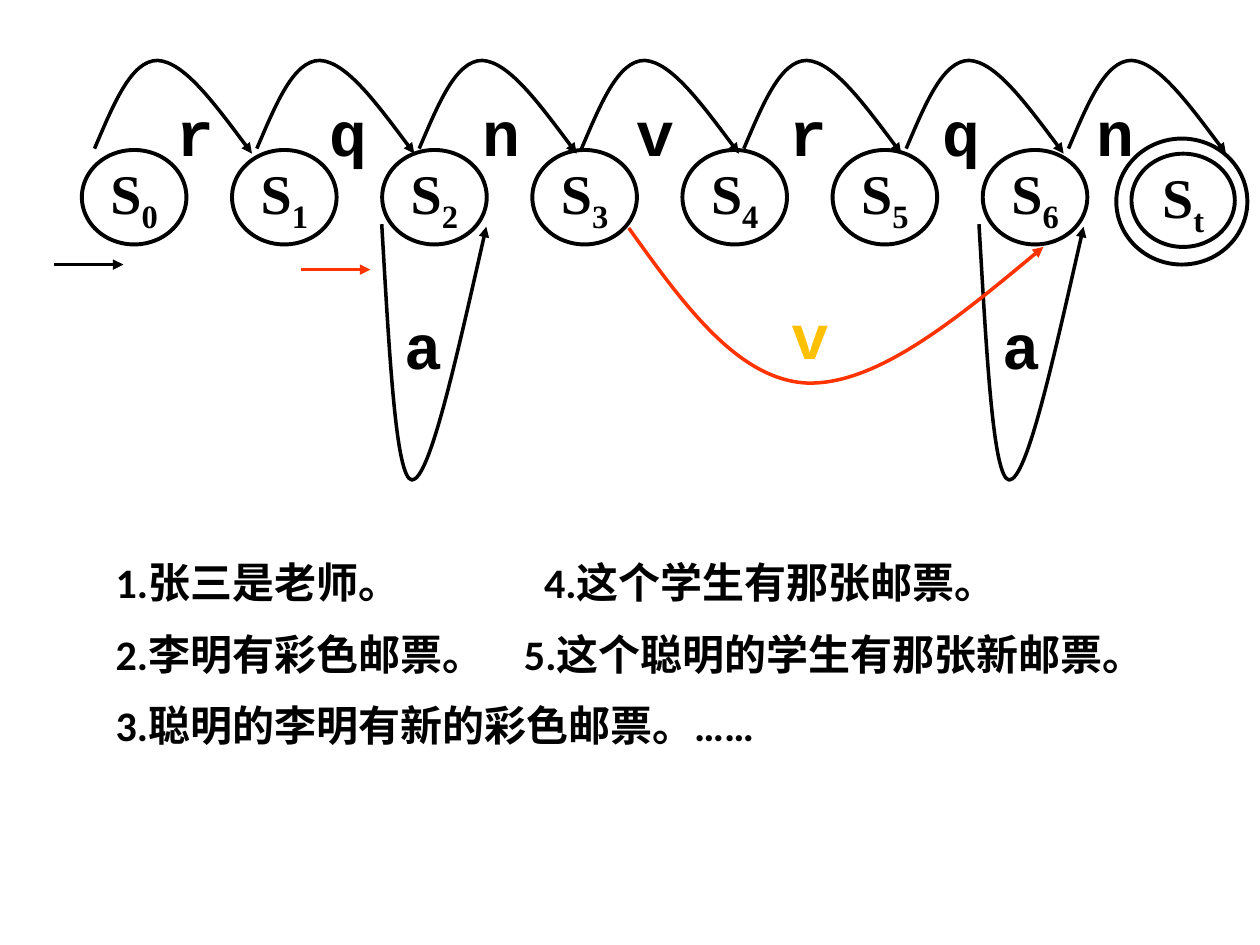
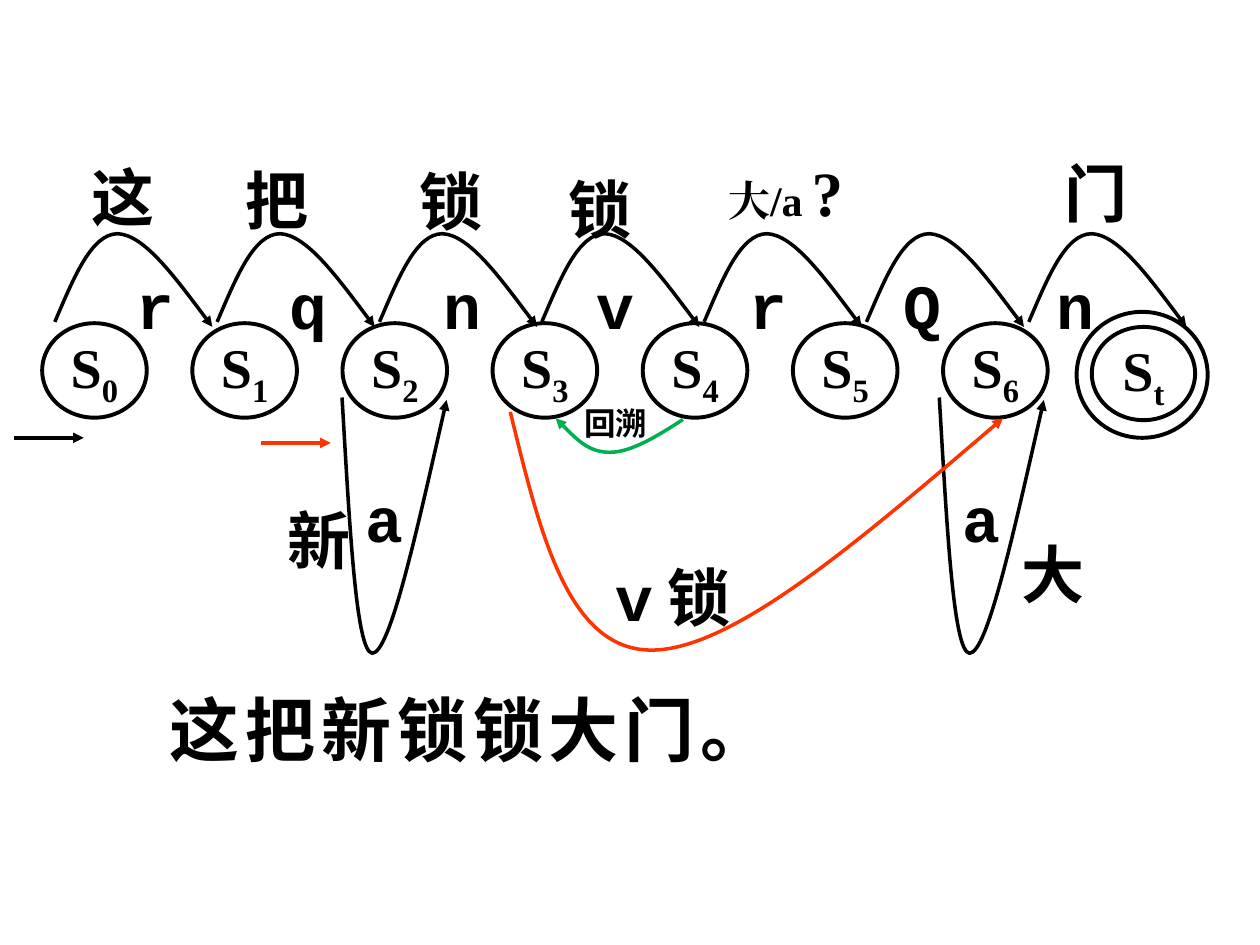
from dataclasses import dataclass
from typing import Any

from lxml.etree import SubElement
from pptx import Presentation
from pptx.dml.color import RGBColor
from pptx.enum.shapes import MSO_CONNECTOR, MSO_SHAPE
from pptx.enum.text import MSO_ANCHOR, MSO_AUTO_SIZE, PP_ALIGN
from pptx.oxml.ns import qn
from pptx.util import Emu, Inches, Pt

# Slide grid: 100 columns by 75 rows
SLIDE_WIDTH, SLIDE_HEIGHT = Inches(10), Inches(7.5)
COLUMN, ROW = SLIDE_WIDTH / 100, SLIDE_HEIGHT / 75

BLACK = RGBColor(0x00, 0x00, 0x00)
RED = RGBColor(0xFF, 0x33, 0x00)
GOLD = RGBColor(0xFF, 0xC0, 0x00)
GREEN = RGBColor(0x00, 0xB0, 0x50)

# Character formats
LABEL = {"name": "Courier New", "size": Pt(36), "bold": True}
STATE = {"name": "Times New Roman", "size": Pt(32), "bold": True}
SENTENCE = {"name": "Calibri", "size": Pt(24), "bold": True}
GUESS = {"name": "Times New Roman", "size": Pt(24), "bold": True}

Point = tuple[float, float]


@dataclass(frozen=True)
class Label:
    """A word beside an edge of the network."""
    text: str
    column: float
    row: float
    width: float = 7.1
    height: float = 7.1
    size: float = 36
    color: RGBColor = BLACK


@dataclass(frozen=True)
class Curve:
    """An arrowed Bezier path: a start, then three points for each segment."""
    points: tuple[Point, ...]
    color: RGBColor = BLACK


# The network: states, the arcs between them, and their letters
STATE_NAMES = "0123456"
FIRST_STATE, STATE_STEP = 6.5, 71.5 / 6
FIRST_LETTER, LETTER_STEP = 13, 73 / 6
FIRST_ARC, ARC_STEP = 7.5, 77.3 / 6
LOOP_COLUMNS = (30.3, 77.7)
ARC = ((0, 7), (1.5, 3.5), (2.9, 0), (5, 0),
       (7.1, 0.1), (9.8, 3.8), (12.5, 7.4))
LOOP = ((0, 0), (0.6, 10.1), (1.1, 20.2), (2.4, 20.3),
        (3.8, 20.3), (6, 10.3), (8.3, 0.2))

# Slide 1
SKIP_VERB = Curve(((49.9, 18.1), (54.2, 24.1), (58.5, 30.1), (64, 30.4),
                   (69.5, 30.6), (76.2, 25.1), (82.8, 19.6)), RED)
SKIP_LETTER = Label("v", 61.8, 23, 5.1, color=GOLD)
SENTENCES = (
    (("1.张三是老师。", "4.这个学生有那张邮票。"), 34),
    (("2.李明有彩色邮票。", "5.这个聪明的学生有那张新邮票。"), 32.4),
    (("3.聪明的李明有新的彩色邮票。……",), None),
)

# Slide 2
BACKTRACK_CURVES = (
    Curve(((40.5, 32.7), (42.8, 42.1), (45, 51.5), (51.6, 51.6),
           (58.1, 51.7), (68.8, 42.4), (79.6, 33.2)), RED),
    Curve(((54.2, 33.3), (52.2, 34.6), (50.1, 35.9), (48.4, 35.9),
           (46.7, 35.9), (45.4, 34.5), (44.1, 33.2)), GREEN),
)
WORD_LABELS = (
    Label("这", 6.3, 12.1),
    Label("把", 18.5, 12.3),
    Label("锁", 32.3, 12.4),
    Label("锁", 44.1, 13),
    Label("门", 83.5, 11.8),
    Label("新", 21.8, 39.3),
    Label("大", 80.1, 42),
    Label("v", 47.9, 43.8, 4.9),
    Label("锁", 52, 43.8),
    Label("回溯", 45.4, 31.6, 7.1, 4, 18),
)


def place(column: float, row: float) -> tuple[Emu, Emu]:
    return Emu(round(column * COLUMN)), Emu(round(row * ROW))


def apply(target: Any, values: dict[str, Any]) -> None:
    for name, value in values.items():
        setattr(target, name, value)


def add_run(paragraph: Any, text: str, style: dict[str, Any],
            color: RGBColor = BLACK) -> Any:
    run = paragraph.add_run()
    run.text = text
    apply(run.font, style)
    run.font.color.rgb = color
    properties = run.font._element
    SubElement(properties, qn("a:ea")).set("typeface", style["name"])
    return properties


def add_text_box(slide: Any, column: float, row: float, width: float,
                 height: float, wrap: bool) -> Any:
    text_box = slide.shapes.add_textbox(*place(column, row), *place(width, height))
    apply(text_box.text_frame, {"word_wrap": wrap,
                                "auto_size": MSO_AUTO_SIZE.SHAPE_TO_FIT_TEXT})
    return text_box.text_frame


def add_label(slide: Any, label: Label) -> None:
    frame = add_text_box(slide, label.column, label.row, label.width,
                         label.height, False)
    add_run(frame.paragraphs[0], label.text,
            LABEL | {"size": Pt(label.size)}, label.color)


def style_arrow(shape: Any, color: RGBColor) -> None:
    shape.line.color.rgb = color
    shape.line.width = Pt(2)
    outline = shape._element.spPr.find(qn("a:ln"))
    SubElement(outline, qn("a:tailEnd")).set("type", "triangle")


def add_curve(slide: Any, curve: Curve, column: float = 0, row: float = 0) -> None:
    points = [place(column + x, row + y) for x, y in curve.points]
    builder = slide.shapes.build_freeform(*points[0], scale=1.0)
    builder.add_line_segments(points[1:], close=False)
    shape = builder.convert_to_shape()
    # Turn every three line segments into one cubic Bezier segment
    outline = shape._element.spPr.find(f".//{qn('a:path')}")
    segments = outline.findall(qn("a:lnTo"))
    for start in range(0, len(segments), 3):
        cubic = SubElement(outline, qn("a:cubicBezTo"))
        for segment in segments[start:start + 3]:
            cubic.append(segment[0])
            outline.remove(segment)
    shape.fill.background()
    shape.shadow.inherit = False
    style_arrow(shape, curve.color)


def add_arrow(slide: Any, column: float, row: float, color: RGBColor) -> None:
    arrow = slide.shapes.add_connector(MSO_CONNECTOR.STRAIGHT, *place(column, row),
                                       *place(column + 5.5, row))
    style_arrow(arrow, color)
    SubElement(arrow._element.spPr, qn("a:effectLst"))


def add_state(slide: Any, column: float, row: float, width: float,
              height: float, name: str = "") -> None:
    state = slide.shapes.add_shape(MSO_SHAPE.OVAL, *place(column, row),
                                   *place(width, height))
    state.fill.background()
    state.line.color.rgb = BLACK
    state.line.width = Pt(2.25)
    state.shadow.inherit = False
    if name:
        frame = state.text_frame
        apply(frame, {"word_wrap": False, "vertical_anchor": MSO_ANCHOR.MIDDLE})
        paragraph = frame.paragraphs[0]
        paragraph.alignment = PP_ALIGN.CENTER
        add_run(paragraph, "S", STATE)
        add_run(paragraph, name, STATE).set("baseline", "-25000")


def add_network(slide: Any, letters: str, left: float = 0, top: float = 0) -> None:
    # States, with a double ring for the final one
    for index, name in enumerate(STATE_NAMES):
        add_state(slide, left + FIRST_STATE + index * STATE_STEP, top + 11.9,
                  8.3, 7.5, name)
    add_state(slide, left + 89.8, top + 12.2, 8.2, 7.4, "t")
    add_state(slide, left + 88.6, top + 11, 10.4, 10)
    # Arcs and their letters
    for index, letter in enumerate(letters):
        add_curve(slide, Curve(ARC), left + FIRST_ARC + index * ARC_STEP, top + 4.8)
        add_label(slide, Label(letter, left + FIRST_LETTER + index * LETTER_STEP,
                               top + 6.9, 5.1))
    # Loops for adjectives
    for column in LOOP_COLUMNS:
        add_curve(slide, Curve(LOOP), left + column, top + 17.8)
        add_label(slide, Label("a", left + column + 0.85, top + 23.8, 5.1))
    # Entry arrows
    add_arrow(slide, left + 4.3, top + 21, BLACK)
    add_arrow(slide, left + 23.9, top + 21.4, RED)


def add_sentences(slide: Any) -> None:
    frame = add_text_box(slide, 8.2, 43.7, 87.5, 17.2, True)
    for index, (parts, tab_column) in enumerate(SENTENCES):
        paragraph = frame.add_paragraph() if index else frame.paragraphs[0]
        if tab_column:
            tabs = SubElement(paragraph._p.get_or_add_pPr(), qn("a:tabLst"))
            tab = SubElement(tabs, qn("a:tab"))
            tab.set("pos", str(round(tab_column * COLUMN)))
            tab.set("algn", "l")
        if index:
            paragraph.space_before = Pt(12)
        add_run(paragraph, "\t".join(parts), SENTENCE)


def build_grammar_slide(slide: Any) -> None:
    add_network(slide, "rqnvrqn")
    add_curve(slide, SKIP_VERB)
    add_label(slide, SKIP_LETTER)
    add_sentences(slide)


def build_backtrack_slide(slide: Any) -> None:
    add_network(slide, "rqnvrQn", -3.15, 13.75)
    for curve in BACKTRACK_CURVES:
        add_curve(slide, curve)
    for label in WORD_LABELS:
        add_label(slide, label)
    # Uncertain reading of the fifth word
    guess = add_text_box(slide, 56.8, 11.7, 11.2, 7.1, True).paragraphs[0]
    for text, size in (("大/a", 24), (" ", 20), ("?", 36)):
        add_run(guess, text, GUESS | {"size": Pt(size)})
    # Sentence being parsed
    sentence = add_text_box(slide, 12.5, 54, 50, 7.7, True).paragraphs[0]
    sentence.alignment = PP_ALIGN.JUSTIFY
    add_run(sentence, "这把新锁锁大门。", LABEL | {"size": Pt(40)}).set("spc", "340")


def main() -> None:
    presentation = Presentation()
    apply(presentation, {"slide_width": SLIDE_WIDTH, "slide_height": SLIDE_HEIGHT})
    blank = presentation.slide_layouts[6]
    for build in (build_grammar_slide, build_backtrack_slide):
        build(presentation.slides.add_slide(blank))
    presentation.save("out.pptx")


if __name__ == "__main__":
    main()
